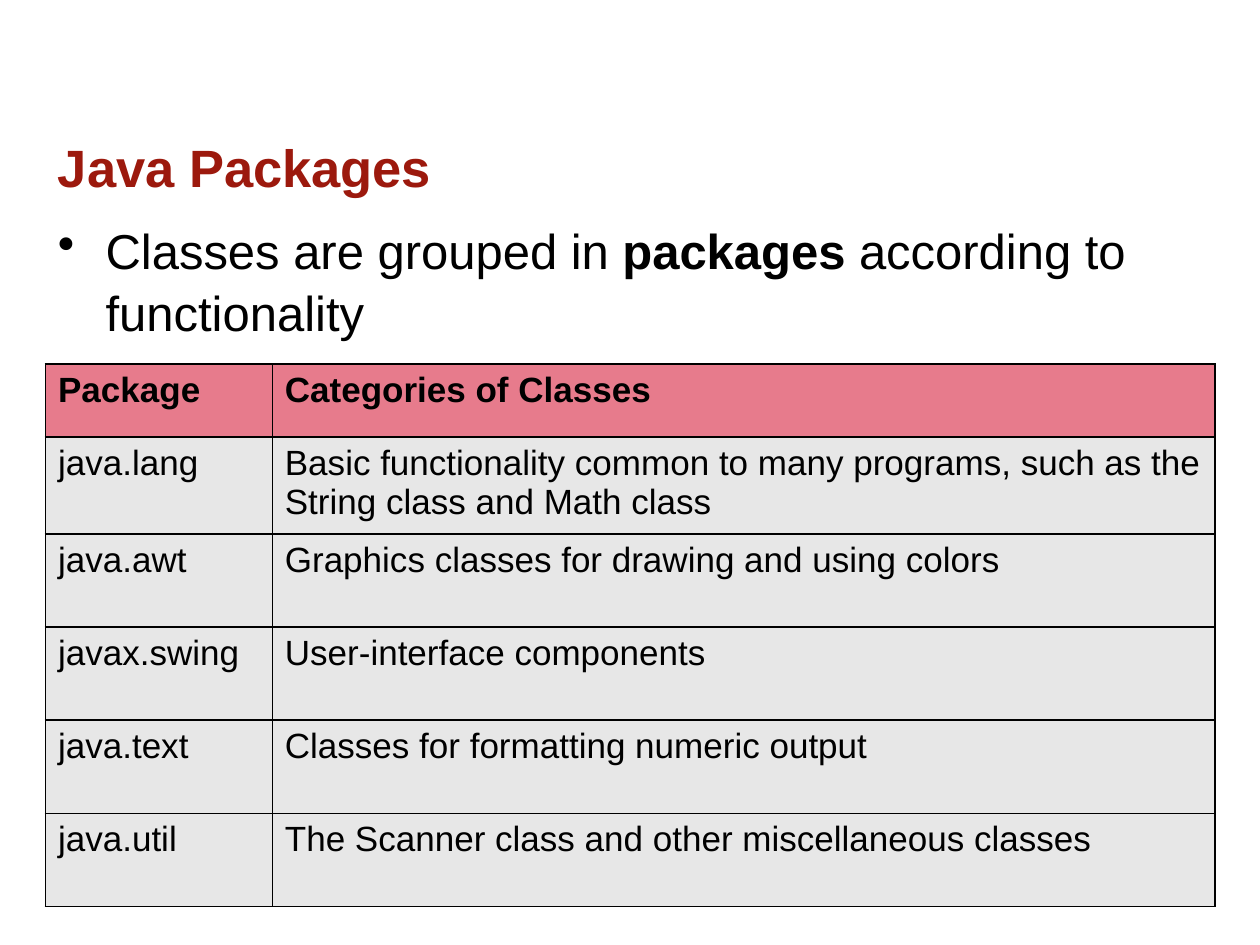
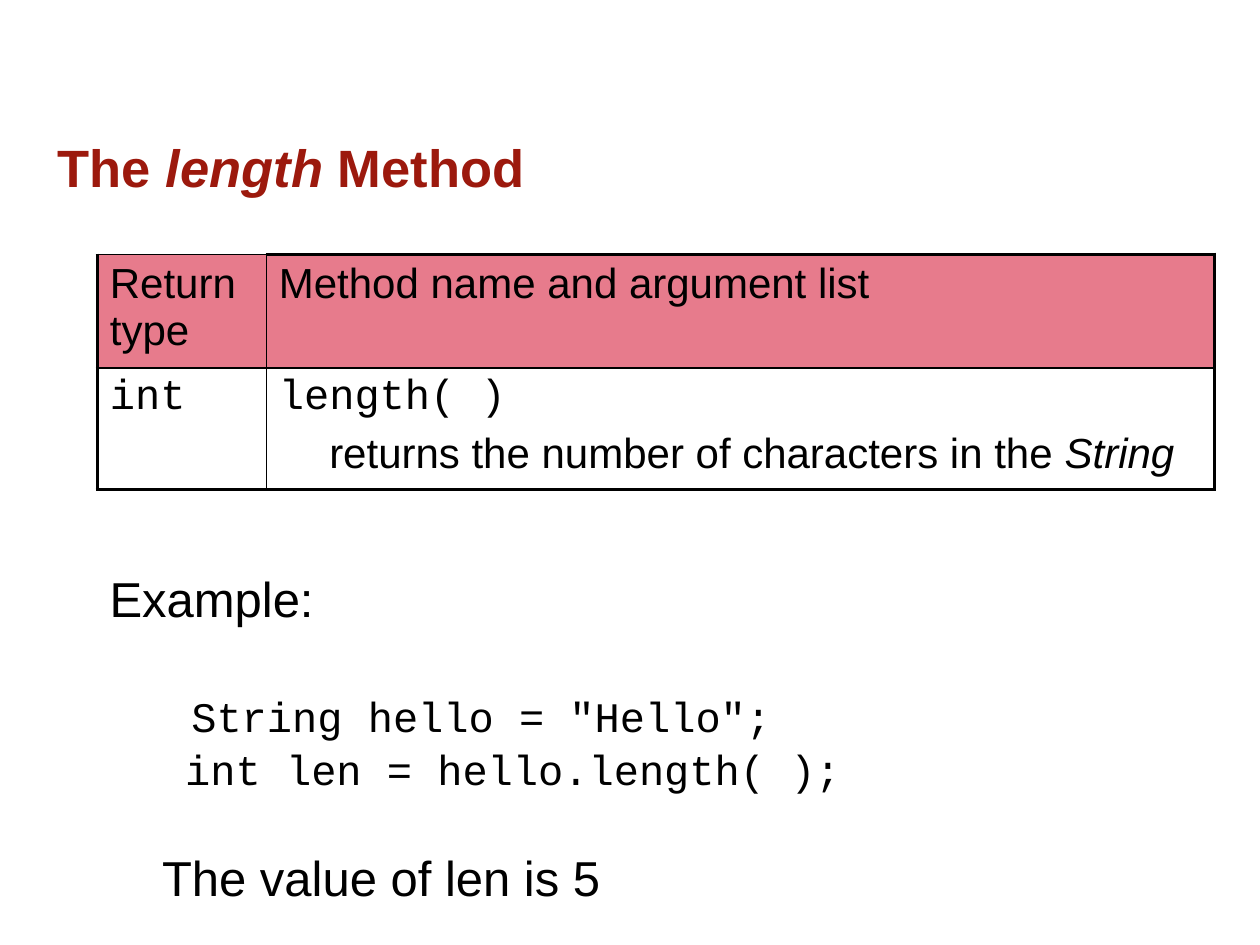
from dataclasses import dataclass
from typing import Optional

from lxml import etree
from pptx import Presentation
from pptx.dml.color import RGBColor
from pptx.enum.text import MSO_ANCHOR
from pptx.oxml.ns import qn
from pptx.util import Pt

MIDDLE = MSO_ANCHOR.MIDDLE
TOP = MSO_ANCHOR.TOP

# Shared look
SANS, MONO = "Arial", "Courier New"
BLACK, TITLE_RED = "000000", "9C190D"
HEADER_PINK, ROW_GREY = "E77B8C", "E7E7E7"
LEFT, CONTENT_WIDTH = 26, 668
THIN, THICK = 1, 2.25
EDGES = {"left": "a:lnL", "right": "a:lnR", "top": "a:lnT", "bottom": "a:lnB"}


@dataclass(frozen=True)
class Run:
    text: str
    size: float
    font: str = SANS
    color: str = BLACK
    bold: bool = False
    italic: bool = False


@dataclass(frozen=True)
class Line:
    runs: list[Run]
    indent: float = 0
    space_before: float = 0
    spacing: float = 1.0
    bullet: str = ""


@dataclass(frozen=True)
class Box:
    left: float
    top: float
    width: float
    height: float

    def lengths(self) -> tuple:
        return Pt(self.left), Pt(self.top), Pt(self.width), Pt(self.height)


@dataclass(frozen=True)
class Cell:
    lines: list[Line]
    fill: Optional[str] = None


def rgb(color: str) -> RGBColor:
    return RGBColor.from_string(color)


def write_lines(text_frame, lines: list[Line]) -> None:
    for index, line in enumerate(lines):
        paragraph = text_frame.paragraphs[0] if index == 0 else text_frame.add_paragraph()
        paragraph.line_spacing = line.spacing
        paragraph.space_before = Pt(line.space_before)
        properties = paragraph._p.get_or_add_pPr()
        properties.set("marL", str(Pt(line.indent)))
        if line.bullet:
            properties.set("indent", str(-Pt(line.indent)))
            etree.SubElement(properties, qn("a:buChar"), char=line.bullet)
        for part in line.runs:
            run = paragraph.add_run()
            run.text = part.text
            run.font.name = part.font
            run.font.size = Pt(part.size)
            run.font.bold = part.bold
            run.font.italic = part.italic
            run.font.color.rgb = rgb(part.color)


def add_text(slide, box: Box, lines: list[Line], anchor=TOP) -> None:
    text_frame = slide.shapes.add_textbox(*box.lengths()).text_frame
    text_frame.word_wrap = True
    text_frame.vertical_anchor = anchor
    write_lines(text_frame, lines)


def add_title(slide, *parts: tuple[str, bool]) -> None:
    runs = [Run(text, 30, color=TITLE_RED, bold=True, italic=italic) for text, italic in parts]
    add_text(slide, Box(LEFT, 71.3, CONTENT_WIDTH, 51.8), [Line(runs, spacing=0.9)], MIDDLE)


def set_border(cell, edge: str, width: float) -> None:
    properties = cell._tc.get_or_add_tcPr()
    border = etree.SubElement(properties, qn(EDGES[edge]), w=str(Pt(width)))
    fill = etree.SubElement(border, qn("a:solidFill"))
    etree.SubElement(fill, qn("a:srgbClr"), val=BLACK)


def add_grid(slide, left: float, top: float, widths: list[float], heights: list[float],
             rows: list[list[Cell]], outline: float) -> None:
    box = Box(left, top, sum(widths), sum(heights))
    table = slide.shapes.add_table(len(heights), len(widths), *box.lengths()).table
    table.first_row = table.horz_banding = False
    for column, width in zip(table.columns, widths):
        column.width = Pt(width)
    for row, height in zip(table.rows, heights):
        row.height = Pt(height)
    last_row, last_column = len(heights) - 1, len(widths) - 1
    for row_index, row_cells in enumerate(rows):
        for column_index, content in enumerate(row_cells):
            cell = table.cell(row_index, column_index)
            write_lines(cell.text_frame, content.lines)
            # The outline is heavier, but the top left cell keeps a thin top
            outer = {
                "left": column_index == 0,
                "right": column_index == last_column,
                "top": row_index == 0 and column_index > 0,
                "bottom": row_index == last_row,
            }
            for edge in EDGES:
                set_border(cell, edge, outline if outer[edge] else THIN)
            if content.fill:
                cell.fill.solid()
                cell.fill.fore_color.rgb = rgb(content.fill)
            else:
                cell.fill.background()


def build_packages_slide(slide) -> None:
    add_title(slide, ("Java Packages", False))
    add_text(slide, Box(LEFT, 121, CONTENT_WIDTH, 344), [
        Line([Run("Classes are grouped in ", 28), Run("packages ", 28, bold=True),
              Run("according to functionality", 28)], indent=27.3, spacing=1.05, bullet="•"),
    ])

    # Package table
    packages = [
        ("Package", "Categories of Classes"),
        ("java.lang", "Basic functionality common to many programs, "
                      "such as the String class and Math class"),
        ("java.awt", "Graphics classes for drawing and using colors"),
        ("javax.swing", "User-interface components"),
        ("java.text", "Classes for formatting numeric output"),
        ("java.util", "The Scanner class and other miscellaneous classes"),
    ]
    rows = [
        [Cell([Line([Run(text, 20, bold=index == 0)])], ROW_GREY if index else HEADER_PINK)
         for text in texts]
        for index, texts in enumerate(packages)
    ]
    add_grid(slide, LEFT, 208, [129.6, 538.6], [41.8, 55.4] + [53.2] * 4, rows, THIN)


def build_length_slide(slide) -> None:
    add_title(slide, ("The ", False), ("length", True), (" Method", False))

    # Method signature table
    header = [Cell([Line([Run(text, 24)])], HEADER_PINK)
              for text in ("Return type", "Method name and argument list")]
    signature = [
        Cell([Line([Run("int", 24, MONO)])]),
        Cell([
            Line([Run("length( )", 24, MONO)]),
            Line([Run("returns the number of characters in the ", 24),
                  Run("String", 24, italic=True)], indent=28.8, space_before=4.8),
        ]),
    ]
    add_grid(slide, 55.6, 145.4, [96.6, 542], [60.5, 68], [header, signature], THICK)

    # Code example
    add_text(slide, Box(55.6, 319.7, 520.6, 196.6), [
        Line([Run("Example:", 28)], spacing=1.05),
        Line([Run('String hello = "Hello";', 24, MONO)], 46.7, 34.8, 1.05),
        Line([Run("int len = hello.length( );", 24, MONO)], 43.2, 0, 1.05),
        Line([Run("The value of len is 5", 28)], 30, 29, 1.05),
    ])


def main() -> None:
    presentation = Presentation()
    presentation.slide_width, presentation.slide_height = Pt(720), Pt(540)
    blank_layout = presentation.slide_layouts[6]
    for build in (build_packages_slide, build_length_slide):
        build(presentation.slides.add_slide(blank_layout))
    presentation.save("out.pptx")


if __name__ == "__main__":
    main()
